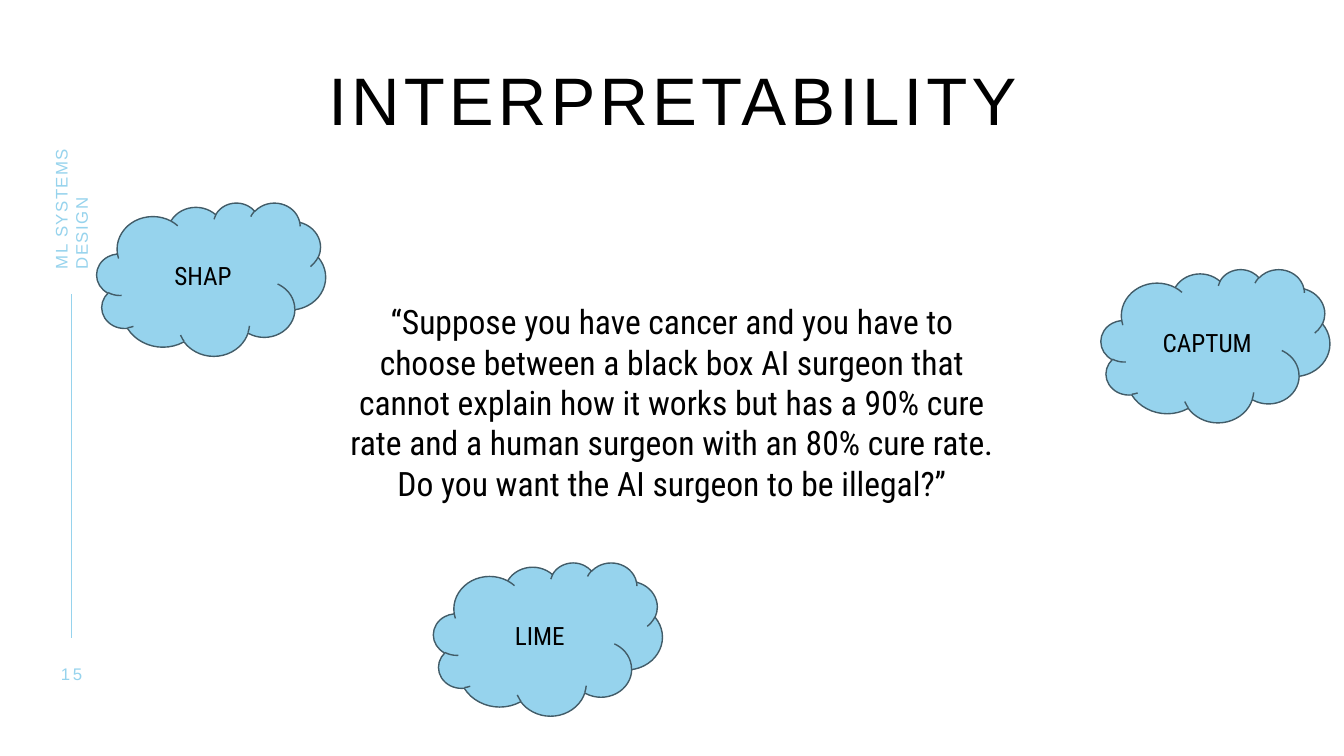
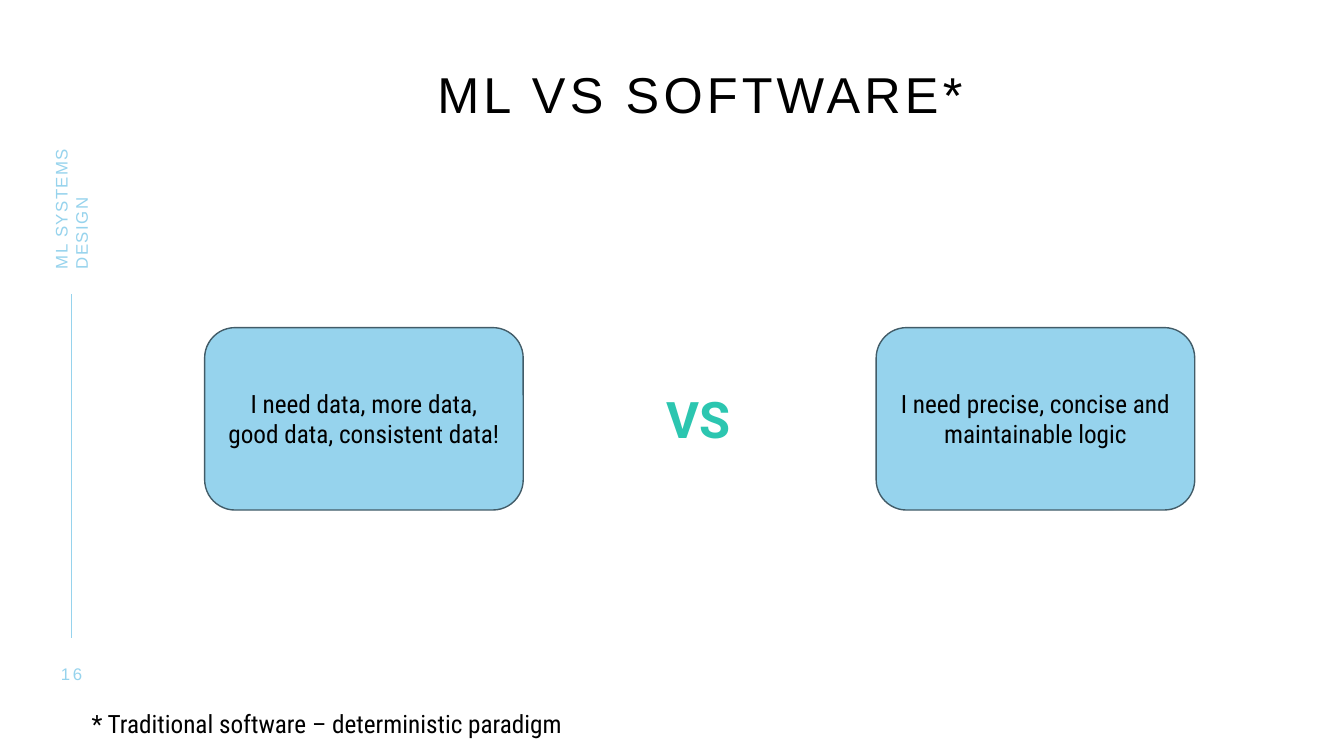
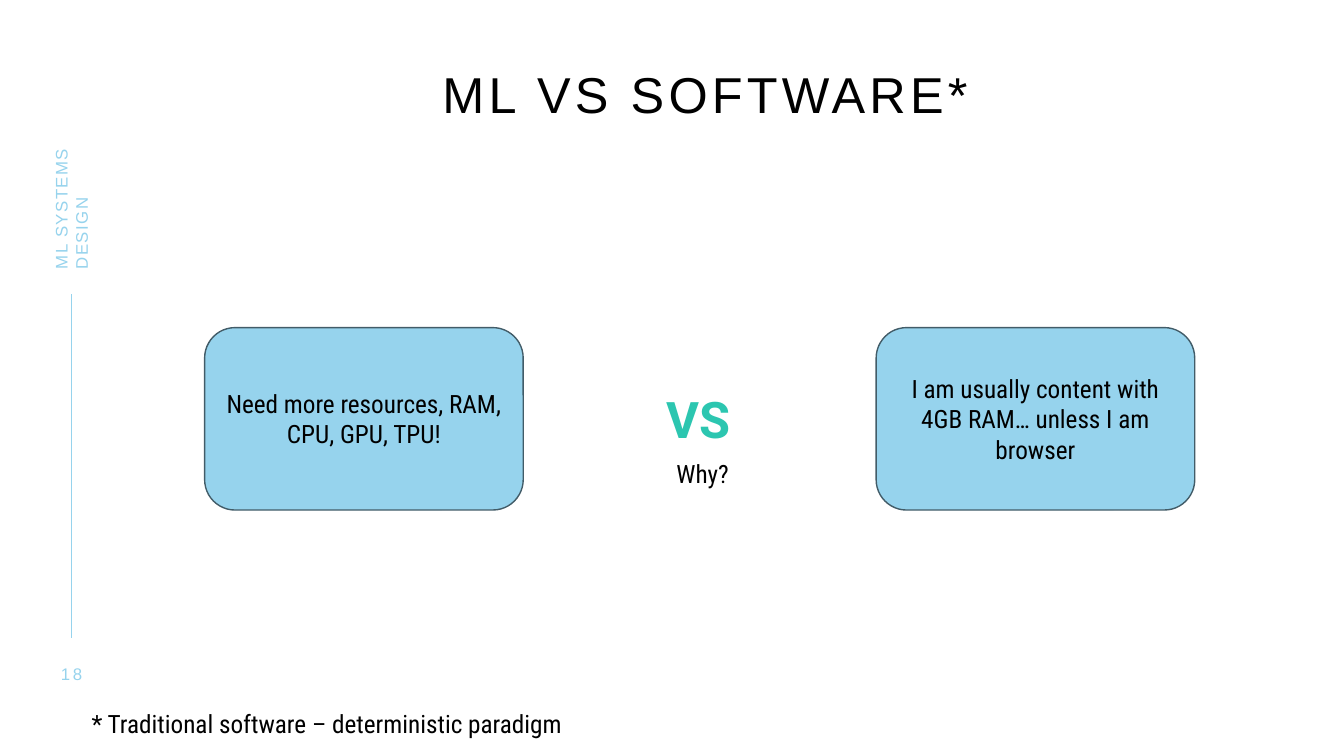
"""Build three slides on machine learning systems design."""
from pptx import Presentation
from pptx.dml.color import RGBColor
from pptx.enum.shapes import MSO_CONNECTOR, MSO_SHAPE
from pptx.enum.text import MSO_ANCHOR, MSO_AUTO_SIZE, PP_ALIGN
from pptx.oxml.ns import qn
from pptx.util import Inches, Pt
from lxml.etree import SubElement

SKY, EDGE, TEAL, BLACK = "96D3ED", "425C68", "2CC6B0", "000000"
BODY, HEAD = "Roboto Condensed", "Arial"
LEFT, MID = PP_ALIGN.LEFT, PP_ALIGN.CENTER


def write(shape, text, size=18, ink=BLACK, font=BODY, align=MID,
          anchor=MSO_ANCHOR.MIDDLE, space=0, bold=False):
    """Set the text of a shape; spaced text also loses its insets."""
    frame = shape.text_frame
    frame.text = text
    frame.word_wrap = True
    frame.auto_size = MSO_AUTO_SIZE.NONE
    frame.vertical_anchor = anchor
    if space:
        frame.margin_left = frame.margin_right = 0
        frame.margin_top = frame.margin_bottom = 0
    line = frame.paragraphs[0]
    line.alignment = align
    run = line.runs[0]
    run.font.size = Pt(size)
    run.font.name = font
    run.font.bold = bold
    run.font.color.rgb = RGBColor.from_string(ink)
    if space:
        run._r.get_or_add_rPr().set("spc", str(space * 100))


def place(slide, box, text, kind=None, **style):
    """Add a text box, or a filled shape when a kind is given."""
    area = [Inches(n) for n in box]
    if kind is None:
        shape = slide.shapes.add_textbox(*area)
        style.setdefault("anchor", MSO_ANCHOR.TOP)
    else:
        shape = slide.shapes.add_shape(kind, *area)
        shape.shadow.inherit = False
        shape.fill.solid()
        shape.fill.fore_color.rgb = RGBColor.from_string(SKY)
        shape.line.color.rgb = RGBColor.from_string(EDGE)
        shape.line.width = Pt(1)
    write(shape, text, **style)
    return shape


deck = Presentation()
deck.slide_width, deck.slide_height = Inches(13.33), Inches(7.5)

heads = [
    ("INTERPRETABILITY", 48, 1.3, 0.67, "15"),
    ("ML VS SOFTWARE*", 36, 1.57, 0.69, "16"),
    ("ML VS SOFTWARE*", 36, 1.62, 0.69, "18"),
]
label = dict(size=12, ink=SKY, font=HEAD, anchor=MSO_ANCHOR.MIDDLE)
slides = []
for text, size, left, top, number in heads:
    slide = deck.slides.add_slide(deck.slide_layouts[5])
    slides.append(slide)
    rule = slide.shapes.add_connector(
        MSO_CONNECTOR.STRAIGHT,
        Inches(0.71), Inches(2.92), Inches(0.71), Inches(6.33))
    rule.line.color.rgb = RGBColor.from_string(SKY)
    rule.line.width = Pt(1)
    SubElement(rule._element.spPr, qn("a:effectLst"))

    title = slide.shapes.title
    title.left, title.top = Inches(left), Inches(top)
    title.width, title.height = Inches(10.75), Inches(1)
    write(title, text, size, font=HEAD, anchor=MSO_ANCHOR.TOP, space=3)
    title.text_frame.paragraphs[0].line_spacing = 0.9

    place(slide, (0.46, 6.58, 0.5, 0.2), number, space=2, **label)
    side = place(slide, (-0.27, 1.59, 1.95, 0.21), "ML SYSTEMS DESIGN",
                 align=LEFT, space=1, **label)
    side.rotation = 270

first, *duels = slides
place(first, (3.33, 2.94, 6.67, 2.12),
      "“Suppose you have cancer and you have to choose between a black box "
      "AI surgeon that cannot explain how it works but has a 90% cure rate "
      "and a human surgeon with an 80% cure rate. Do you want the AI surgeon "
      "to be illegal?”", size=24)
for text, left, top in [("SHAP", 0.96, 2.01), ("LIME", 4.3, 5.58),
                        ("CAPTUM", 10.92, 2.67)]:
    place(first, (left, top, 2.27, 1.52), text, MSO_SHAPE.CLOUD)

claims = [
    ("I need data, more data, good data, consistent data!",
     "I need precise, concise and maintainable logic"),
    ("Need more resources, RAM, CPU, GPU, TPU!",
     "I am usually content with 4GB RAM… unless I am browser"),
]
for slide, pair in zip(duels, claims):
    place(slide, (0.81, 6.98, 5.08, 0.4),
          "* Traditional software – deterministic paradigm", align=LEFT)
    for left, text in zip((2.03, 8.69), pair):
        place(slide, (left, 3.25, 3.16, 1.81), text,
              MSO_SHAPE.ROUNDED_RECTANGLE)
    place(slide, (6.51, 3.8, 0.87, 0.71), "VS", size=36, ink=TEAL,
          font="Roboto", align=LEFT, bold=True)
place(duels[1], (6.61, 4.5, 0.77, 0.4), "Why?", align=LEFT)

deck.save("out.pptx")
